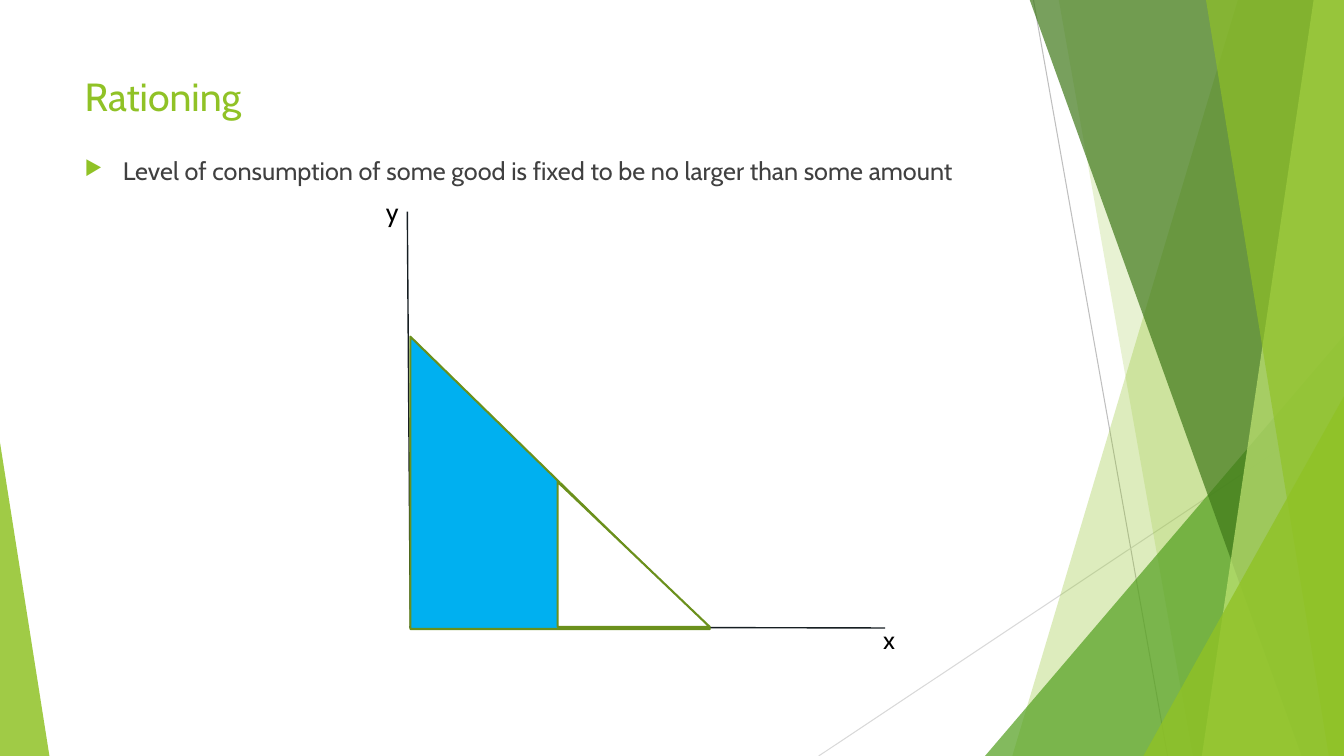
from dataclasses import dataclass
from typing import Optional

from lxml.etree import SubElement
from pptx import Presentation
from pptx.dml.color import RGBColor
from pptx.enum.shapes import MSO_CONNECTOR, MSO_SHAPE
from pptx.enum.text import MSO_ANCHOR, MSO_AUTO_SIZE, PP_ALIGN
from pptx.oxml.ns import qn
from pptx.util import Inches, Pt

Point = tuple[float, float]


@dataclass(frozen=True)
class Theme:
    font: str = "Cabin"
    title_size: int = 28
    text_size: int = 18
    green: str = "90C226"
    leaf: str = "54A021"
    forest: str = "3F7819"
    lime: str = "C0E474"
    outline: str = "6B901C"
    blue: str = "00B0F0"
    white: str = "FFFFFF"
    black: str = "000000"
    body: str = "404040"
    axis: str = "161E22"
    gray: str = "BFBFBF"
    pale: str = "D9D9D9"


@dataclass(frozen=True)
class Line:
    start: Point
    end: Point
    color: str
    width: float


@dataclass(frozen=True)
class Band:
    points: tuple[Point, ...]
    color: str
    opacity: int


@dataclass(frozen=True)
class Triangle:
    left: float
    top: float
    width: float
    height: float
    color: str
    opacity: int = 100
    apex: Optional[float] = None
    outline: Optional[str] = None


@dataclass(frozen=True)
class Label:
    text: str
    left: float
    top: float


THEME = Theme()
WIDTH, HEIGHT, BLEED = 13.33, 7.5, -0.01


def facet(top_left: float, bottom_left: float, color: str, opacity: int) -> Band:
    corners = ((top_left, BLEED), (WIDTH, BLEED), (WIDTH, HEIGHT), (bottom_left, HEIGHT))
    return Band(corners, color, opacity)


GUIDES = (
    Line((10.25, 0), (11.58, HEIGHT), THEME.gray, 0.75),
    Line((WIDTH, 4.03), (8.12, HEIGHT), THEME.pale, 0.75),
)
FACETS = (
    facet(12.28, 10.04, THEME.green, 30),
    facet(10.5, 11.83, THEME.green, 20),
    Triangle(9.77, 3.33, 3.56, 4.17, THEME.leaf, 72, apex=1),
    facet(10.21, 12.91, THEME.forest, 70),
    facet(13.03, 11.92, THEME.lime, 70),
    facet(11.96, 13.18, THEME.green, 65),
    Triangle(11.34, 3.93, 1.99, 3.57, THEME.green, 80, apex=1),
    Triangle(0, 4.39, 0.49, 3.11, THEME.green, 85, apex=0),
)
AXES = (
    Line((4.04, 2.1), (4.07, 6.23), THEME.axis, 1),
    Line((4.06, 6.22), (8.78, 6.23), THEME.axis, 1),
)
BUDGET_SET = Triangle(4.07, 3.34, 2.97, 2.9, THEME.blue, outline=THEME.outline)
LABELS = (Label("x", 8.66, 6.14), Label("y", 3.73, 1.9))
RATION_LIMIT = Line((5.56, 4.78), (5.56, 6.23), THEME.green, 1)
EXCLUDED_SET = Triangle(5.53, 4.78, 1.51, 1.44, THEME.white, outline=THEME.outline)


def draw_line(slide, line: Line) -> None:
    ends = [Inches(value) for value in (*line.start, *line.end)]
    connector = slide.shapes.add_connector(MSO_CONNECTOR.STRAIGHT, *ends)
    connector.line.color.rgb = RGBColor.from_string(line.color)
    connector.line.width = Pt(line.width)
    SubElement(connector._element.spPr, qn("a:effectLst"))


def paint(shape, color: str, opacity: int, outline: Optional[str] = None) -> None:
    shape.shadow.inherit = False
    shape.fill.solid()
    shape.fill.fore_color.rgb = RGBColor.from_string(color)
    if opacity < 100:
        fill_color = shape._element.spPr.find(qn("a:solidFill"))[0]
        SubElement(fill_color, qn("a:alpha"), val=str(opacity * 1000))
    if outline:
        shape.line.color.rgb = RGBColor.from_string(outline)
        shape.line.width = Pt(1.5)
    else:
        shape.line.fill.background()


def draw_band(slide, band: Band) -> None:
    corners = [(Inches(x), Inches(y)) for x, y in band.points]
    builder = slide.shapes.build_freeform(*corners[0])
    builder.add_line_segments(corners[1:], close=True)
    paint(builder.convert_to_shape(), band.color, band.opacity)


def draw_triangle(slide, triangle: Triangle) -> None:
    right_angled = triangle.apex is None
    kind = MSO_SHAPE.RIGHT_TRIANGLE if right_angled else MSO_SHAPE.ISOSCELES_TRIANGLE
    shape = slide.shapes.add_shape(
        kind, Inches(triangle.left), Inches(triangle.top),
        Inches(triangle.width), Inches(triangle.height))
    if not right_angled:
        shape.adjustments[0] = triangle.apex
    paint(shape, triangle.color, triangle.opacity, triangle.outline)


def set_text(box, text: str, size: int, color: str):
    paragraph = box.text_frame.paragraphs[0]
    paragraph.text = text
    paragraph.alignment = PP_ALIGN.LEFT
    paragraph.font.name = THEME.font
    paragraph.font.size = Pt(size)
    paragraph.font.color.rgb = RGBColor.from_string(color)


def draw_label(slide, label: Label) -> None:
    box = slide.shapes.add_textbox(
        Inches(label.left), Inches(label.top), Inches(0.33), Inches(0.4))
    box.text_frame.word_wrap = False
    box.text_frame.auto_size = MSO_AUTO_SIZE.SHAPE_TO_FIT_TEXT
    set_text(box, label.text, THEME.text_size, THEME.black)


def place_title(slide, text: str) -> None:
    title = slide.shapes.title
    title.left, title.top = Inches(0.74), Inches(0.67)
    title.width, title.height = Inches(9.4), Inches(1.44)
    title.text_frame.vertical_anchor = MSO_ANCHOR.TOP
    set_text(title, text, THEME.title_size, THEME.green)


def draw_bullet(slide, text: str) -> None:
    box = slide.shapes.add_textbox(Inches(0.74), Inches(1.49), Inches(9.4), Inches(0.41))
    box.text_frame.word_wrap = True
    properties = box.text_frame.paragraphs[0]._p.get_or_add_pPr()
    properties.set("marL", str(Inches(0.38)))
    properties.set("indent", str(Inches(-0.38)))
    bullet_color = SubElement(properties, qn("a:buClr"))
    SubElement(bullet_color, qn("a:srgbClr"), val=THEME.green)
    SubElement(properties, qn("a:buSzPct"), val="80000")
    SubElement(properties, qn("a:buChar"), char="▶")
    set_text(box, text, THEME.text_size, THEME.body)


def main() -> None:
    deck = Presentation()
    deck.slide_width, deck.slide_height = Inches(WIDTH), Inches(HEIGHT)
    slide = deck.slides.add_slide(deck.slide_layouts.get_by_name("Title Only"))
    for guide in GUIDES:
        draw_line(slide, guide)
    for piece in FACETS:
        draw = draw_band if isinstance(piece, Band) else draw_triangle
        draw(slide, piece)
    place_title(slide, "Rationing")
    draw_bullet(slide, "Level of consumption of some good is fixed "
                       "to be no larger than some amount")
    for axis in AXES:
        draw_line(slide, axis)
    draw_triangle(slide, BUDGET_SET)
    for label in LABELS:
        draw_label(slide, label)
    draw_line(slide, RATION_LIMIT)
    draw_triangle(slide, EXCLUDED_SET)
    deck.save("out.pptx")


if __name__ == "__main__":
    main()
